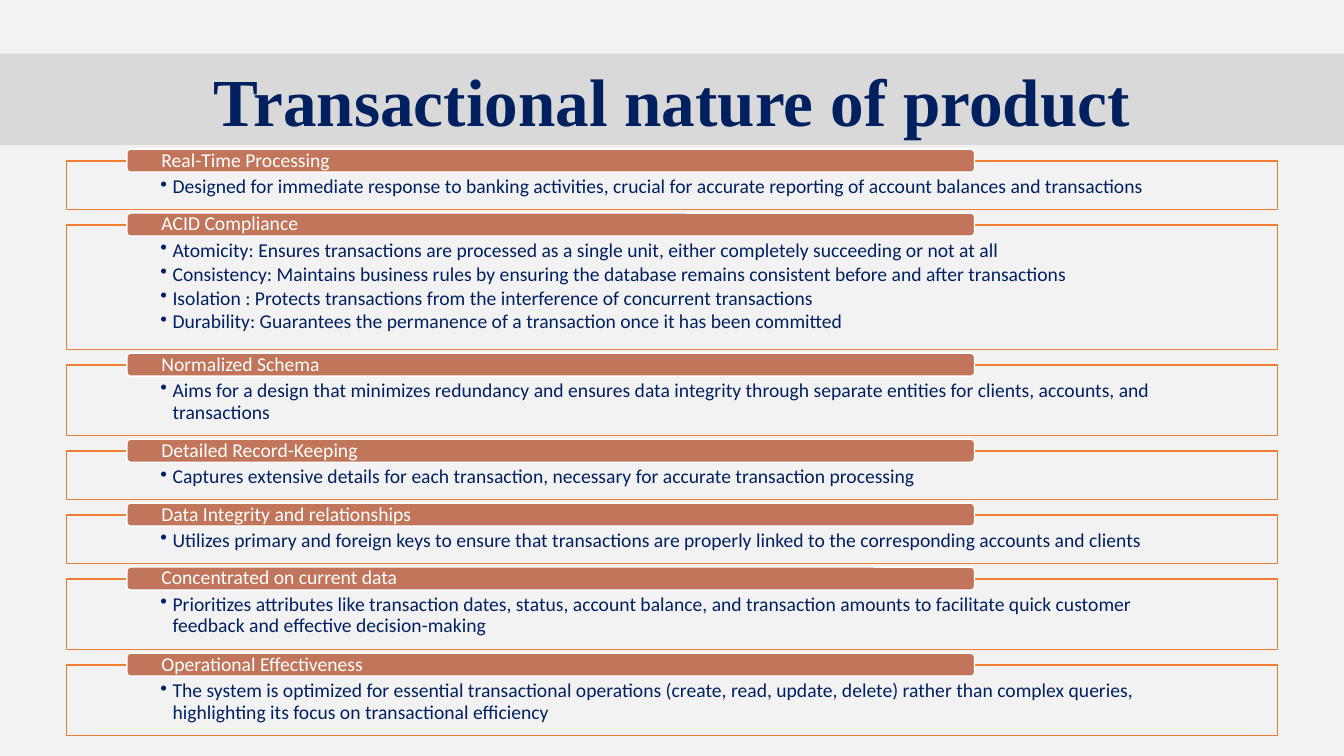
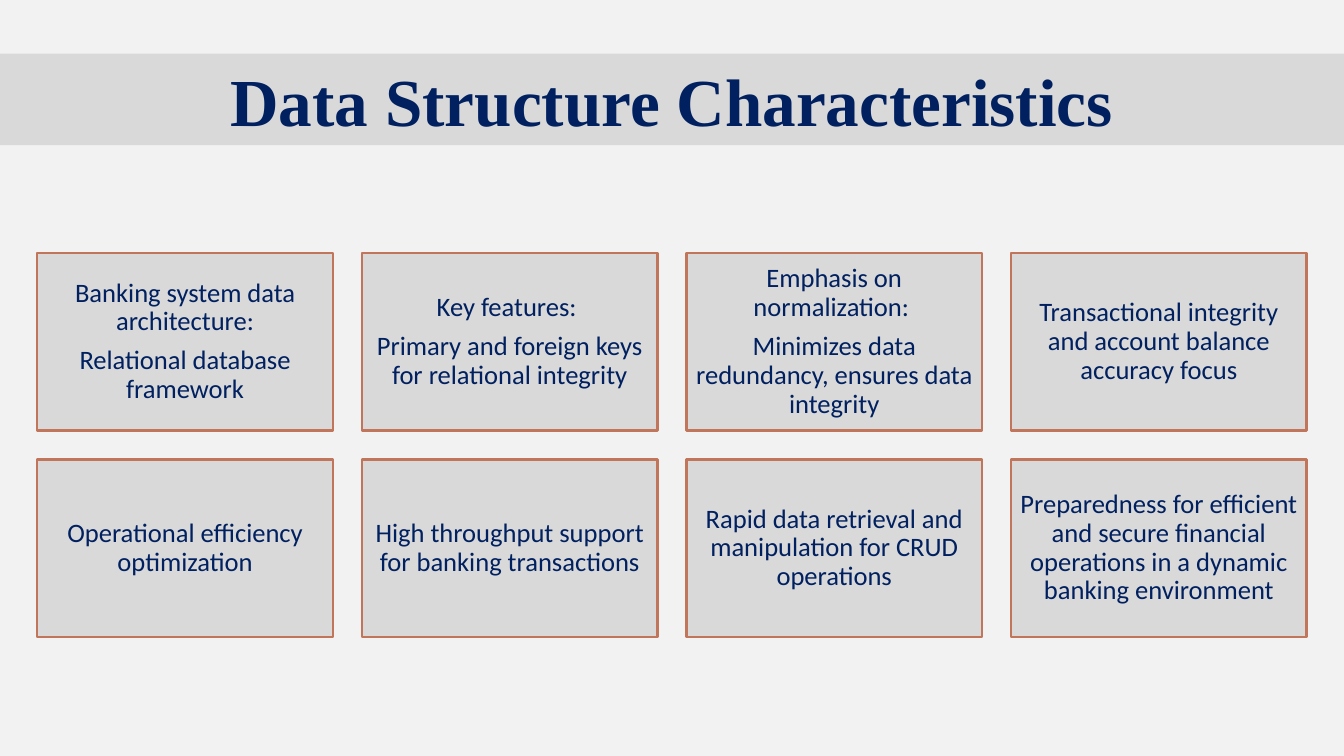
from dataclasses import dataclass

import lxml.etree
import pptx
import pptx.dml.color
import pptx.enum.shapes
import pptx.enum.text
import pptx.oxml.ns
import pptx.util

Cm = pptx.util.Cm
Pt = pptx.util.Pt
Color = pptx.dml.color.RGBColor
Form = pptx.enum.shapes.MSO_SHAPE
Align = pptx.enum.text.PP_ALIGN
Anchor = pptx.enum.text.MSO_ANCHOR


@dataclass(frozen=True)
class Theme:
    page: Color = Color(0xF2, 0xF2, 0xF2)
    band: Color = Color(0xD9, 0xD9, 0xD9)
    ink: Color = Color(0x00, 0x20, 0x60)
    clay: Color = Color(0xC1, 0x75, 0x5A)
    edge: Color = Color(0xED, 0x7D, 0x31)
    white: Color = Color(0xFF, 0xFF, 0xFF)
    serif: str = "Times New Roman"
    sans: str = "Calibri"
    title: float = 48
    card: float = 19
    body: float = 14


@dataclass(frozen=True)
class Box:
    left: float
    top: float
    width: float
    height: float


@dataclass(frozen=True)
class Look:
    form: Form
    fill: Color
    line: Color
    weight: float
    ink: Color
    size: float
    align: Align
    anchor: Anchor
    inset: tuple[float, float]
    after: float
    bullet: bool = False


@dataclass(frozen=True)
class Topic:
    head: str
    points: tuple[str, ...]
    height: float


THEME = Theme()
WIDE, HIGH = 33.87, 19.05

PANEL = Look(Form.RECTANGLE, THEME.page, THEME.edge, 1, THEME.ink, THEME.body,
             Align.LEFT, Anchor.TOP, (2.37, 0.4), 1.8, True)
LABEL = Look(Form.ROUNDED_RECTANGLE, THEME.clay, THEME.white, 1, THEME.white,
             THEME.body, Align.LEFT, Anchor.MIDDLE, (0.84, 0), 0)
CARD = Look(Form.RECTANGLE, THEME.band, THEME.clay, 1.75, THEME.ink, THEME.card,
            Align.CENTER, Anchor.MIDDLE, (0.2, 0.2), 7.3)

ONE, TWO, FOUR = 1.22, 1.78, 3.14

TOPICS = (
    Topic("Real-Time Processing", (
        "Designed for immediate response to banking activities, crucial for "
        "accurate reporting of account balances and transactions",
    ), ONE),
    Topic("ACID Compliance", (
        "Atomicity: Ensures transactions are processed as a single unit, "
        "either completely succeeding or not at all",
        "Consistency: Maintains business rules by ensuring the database "
        "remains consistent before and after transactions",
        "Isolation : Protects transactions from the interference of "
        "concurrent transactions",
        "Durability: Guarantees the permanence of a transaction once it has "
        "been committed",
    ), FOUR),
    Topic("Normalized Schema", (
        "Aims for a design that minimizes redundancy and ensures data "
        "integrity through separate entities for clients, accounts, and "
        "transactions",
    ), TWO),
    Topic("Detailed Record-Keeping", (
        "Captures extensive details for each transaction, necessary for "
        "accurate transaction processing",
    ), ONE),
    Topic("Data Integrity and relationships", (
        "Utilizes primary and foreign keys to ensure that transactions are "
        "properly linked to the corresponding accounts and clients",
    ), ONE),
    Topic("Concentrated on current data", (
        "Prioritizes attributes like transaction dates, status, account "
        "balance, and transaction amounts to facilitate quick customer "
        "feedback and effective decision-making",
    ), TWO),
    Topic("Operational Effectiveness", (
        "The system is optimized for essential transactional operations "
        "(create, read, update, delete) rather than complex queries, "
        "highlighting its focus on transactional efficiency",
    ), TWO),
)

CARDS = (
    ("Banking system data architecture:", "Relational database framework"),
    ("Key features: ", "Primary and foreign keys for relational integrity"),
    ("Emphasis on normalization: ",
     "Minimizes data redundancy, ensures data integrity"),
    ("Transactional integrity and account balance accuracy focus",),
    ("Operational efficiency optimization",),
    ("High throughput support for banking transactions",),
    ("Rapid data retrieval and manipulation for CRUD operations",),
    ("Preparedness for efficient and secure financial operations in a "
     "dynamic banking environment",),
)


def add_bullet(para) -> None:
    props = para._p.get_or_add_pPr()
    props.set("marL", str(Cm(0.31)))
    props.set("indent", str(-Cm(0.31)))
    mark = lxml.etree.SubElement(props, pptx.oxml.ns.qn("a:buChar"))
    mark.set("char", "•")


def add_box(slide, box: Box, look: Look, lines: tuple[str, ...]) -> None:
    shape = slide.shapes.add_shape(
        look.form, Cm(box.left), Cm(box.top), Cm(box.width), Cm(box.height))
    shape.shadow.inherit = False
    shape.fill.solid()
    shape.fill.fore_color.rgb = look.fill
    shape.line.color.rgb = look.line
    shape.line.width = Pt(look.weight)
    frame = shape.text_frame
    frame.word_wrap = True
    frame.vertical_anchor = look.anchor
    frame.margin_left = frame.margin_right = Cm(look.inset[0])
    frame.margin_top = frame.margin_bottom = Cm(look.inset[1])
    frame.text = "\n".join(lines)
    for para in frame.paragraphs:
        para.alignment = look.align
        para.line_spacing = 0.9
        para.space_after = Pt(look.after)
        if look.bullet:
            add_bullet(para)
        for run in para.runs:
            run.font.name = THEME.sans
            run.font.size = Pt(look.size)
            run.font.color.rgb = look.ink


def add_slide(deck, text: str):
    slide = deck.slides.add_slide(deck.slide_layouts[5])
    title = slide.shapes.title
    title.left, title.top = Cm(0), Cm(1.35)
    title.width, title.height = Cm(WIDE), Cm(2.31)
    title.fill.solid()
    title.fill.fore_color.rgb = THEME.band
    frame = title.text_frame
    frame.text = text
    frame.word_wrap = True
    frame.auto_size = pptx.enum.text.MSO_AUTO_SIZE.NONE
    frame.vertical_anchor = Anchor.MIDDLE
    para = frame.paragraphs[0]
    para.alignment = Align.CENTER
    font = para.runs[0].font
    font.name = THEME.serif
    font.size = Pt(THEME.title)
    font.bold = True
    font.color.rgb = THEME.ink
    return slide


def draw_topics(slide) -> None:
    left, top, gap = 1.67, 4.06, 0.39
    width = WIDE - 2 * left
    for topic in TOPICS:
        add_box(slide, Box(left, top, width, topic.height), PANEL, topic.points)
        add_box(slide, Box(3.2, top - 0.3, 21.36, 0.58), LABEL, (topic.head,))
        top += topic.height + gap


def draw_cards(slide) -> None:
    cols, width, height, gap = 4, 7.45, 4.47, 0.73
    left = (WIDE - cols * width - (cols - 1) * gap) / 2
    for index, lines in enumerate(CARDS):
        row, col = divmod(index, cols)
        box = Box(left + col * (width + gap), 6.38 + row * (height + gap),
                  width, height)
        add_box(slide, box, CARD, lines)


def main() -> None:
    deck = pptx.Presentation()
    deck.slide_width, deck.slide_height = Cm(WIDE), Cm(HIGH)
    back = deck.slide_master.background.fill
    back.solid()
    back.fore_color.rgb = THEME.page
    draw_topics(add_slide(deck, "Transactional nature of product"))
    draw_cards(add_slide(deck, "Data Structure Characteristics"))
    deck.save("out.pptx")


if __name__ == "__main__":
    main()
